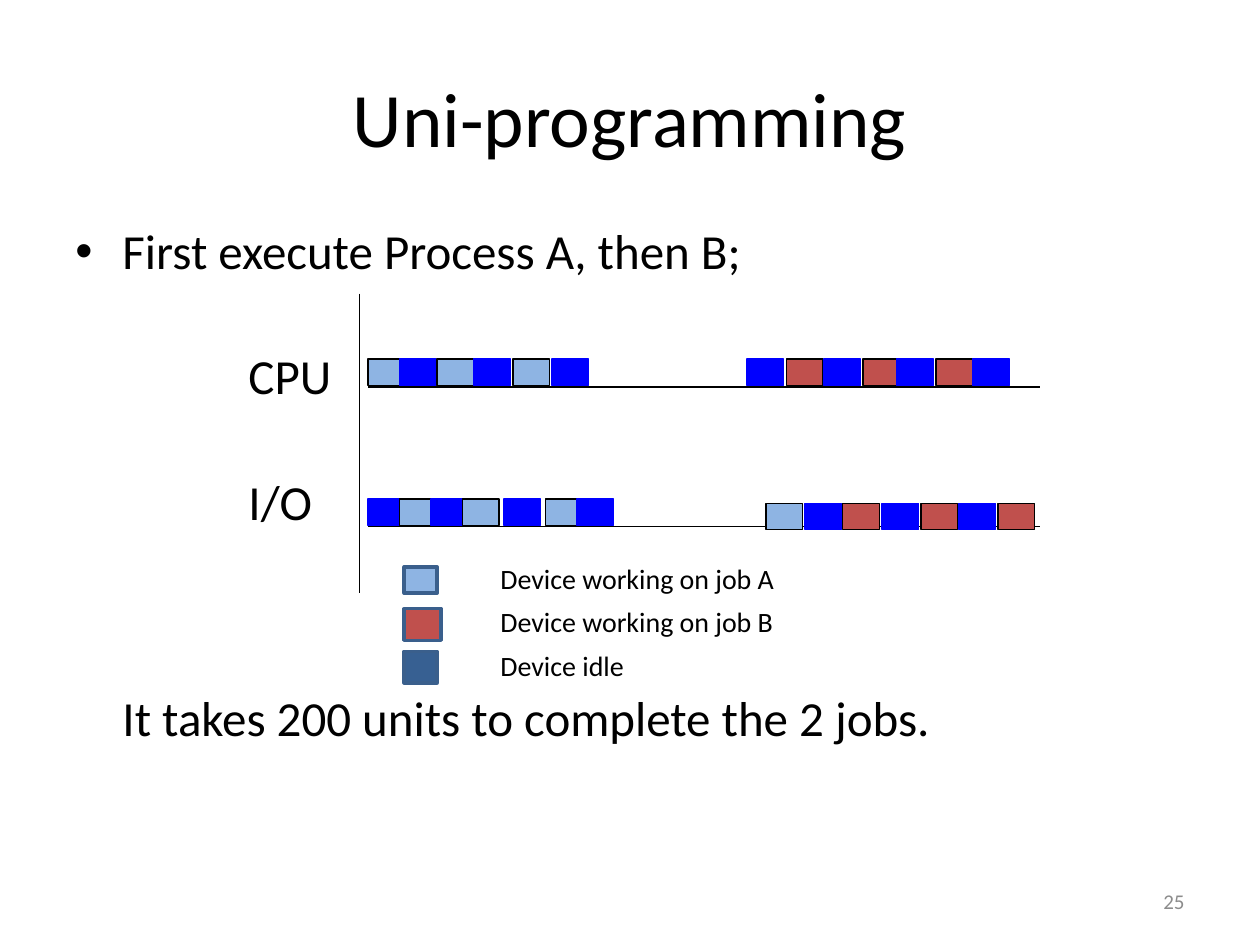
import dataclasses
import typing

import lxml.etree
import pptx
import pptx.dml.color
import pptx.enum.shapes
import pptx.enum.text
import pptx.oxml.ns
import pptx.util

Cm = pptx.util.Cm
Pt = pptx.util.Pt
Align = pptx.enum.text.PP_ALIGN
Anchor = pptx.enum.text.MSO_ANCHOR


@dataclasses.dataclass(frozen=True)
class Theme:
    font: str = "Calibri"
    bullet_font: str = "Arial"
    ink: str = "000000"
    muted: str = "8C8C8C"
    job_a: str = "8EB4E3"
    job_b: str = "C0504D"
    idle: str = "0000FF"
    idle_key: str = "376092"
    key_border: str = "3A5F8C"
    title_size: int = 44
    body_size: int = 28
    key_size: int = 16
    number_size: int = 12
    thin: float = 0.75
    thick: float = 2


THEME = Theme()


@dataclasses.dataclass(frozen=True)
class TextLine:
    text: str
    size: int
    margin: float
    before: float
    bullet: bool = False


@dataclasses.dataclass(frozen=True)
class Activity:
    top: float
    states: str
    lefts: tuple[float, ...]


@dataclasses.dataclass(frozen=True)
class LegendKey:
    top: float
    width: float
    height: float
    fill: str


STATE_COLOURS = {
    "A": (THEME.job_a, THEME.ink),
    "B": (THEME.job_b, THEME.ink),
    "I": (THEME.idle, THEME.idle),
}
BODY_LINES = (
    TextLine("First execute Process A, then B;", THEME.body_size, 0.95, 0, True),
    TextLine("CPU", THEME.body_size, 3.49, 41.5),
    TextLine("I/O", THEME.body_size, 3.49, 41.5),
    TextLine("Device working on job A", THEME.key_size, 8.57, 19.7),
    TextLine("Device working on job B", THEME.key_size, 8.57, 7.5),
    TextLine("Device idle", THEME.key_size, 8.57, 7.5),
    TextLine("It takes 200 units to complete the 2 jobs.", THEME.body_size, 0.95, 6.5),
)
ACTIVITIES = (
    Activity(10.06, "IAIAIAI", (7.42, 8.05, 8.69, 9.32, 10.16, 11, 11.63)),
    Activity(10.15, "AIBIBIB", (15.44, 16.23, 16.99, 17.78, 18.57, 19.33, 20.12)),
    Activity(7.24, "AIAIAI", (7.42, 8.05, 8.81, 9.55, 10.34, 11.13)),
    Activity(7.24, "IBIBIBI", (15.06, 15.85, 16.61, 17.4, 18.08, 18.87, 19.61)),
)
LEGEND = (
    LegendKey(11.43, 0.66, 0.53, THEME.job_a),
    LegendKey(12.27, 0.74, 0.64, THEME.job_b),
    LegendKey(13.13, 0.66, 0.64, THEME.idle_key),
)
AXES = (
    (7.42, 10.62, 20.96, 10.62),
    (7.42, 7.8, 20.96, 7.8),
    (7.24, 5.92, 7.24, 11.96),
)


def apply(target: typing.Any, values: dict[str, typing.Any]) -> None:
    for name, value in values.items():
        setattr(target, name, value)


def colour(value: str) -> pptx.dml.color.RGBColor:
    return pptx.dml.color.RGBColor.from_string(value)


def place(box: typing.Any, left: float, top: float, width: float, height: float) -> None:
    apply(box, {"left": Cm(left), "top": Cm(top), "width": Cm(width), "height": Cm(height)})


def write(para: typing.Any, text: str, size: int, ink: str, align: Align) -> None:
    span = para.add_run()
    span.text = text
    para.alignment = align
    apply(span.font, {"name": THEME.font, "size": Pt(size)})
    span.font.color.rgb = colour(ink)


def indent(para: typing.Any, line: TextLine) -> None:
    properties = para._p.get_or_add_pPr()
    properties.set("marL", str(Cm(line.margin)))
    properties.set("indent", str(-Cm(line.margin) if line.bullet else 0))
    if line.bullet:
        font = lxml.etree.SubElement(properties, pptx.oxml.ns.qn("a:buFont"))
        font.set("typeface", THEME.bullet_font)
        bullet = lxml.etree.SubElement(properties, pptx.oxml.ns.qn("a:buChar"))
        bullet.set("char", "•")


def add_body(page: typing.Any) -> None:
    frame = page.shapes.add_textbox(Cm(1.27), Cm(4.45), Cm(22.86), Cm(12.57)).text_frame
    frame.word_wrap = True
    for index, line in enumerate(BODY_LINES):
        para = frame.add_paragraph() if index else frame.paragraphs[0]
        apply(para, {"line_spacing": 0.9, "space_before": Pt(line.before)})
        indent(para, line)
        write(para, line.text, line.size, THEME.ink, Align.LEFT)


def add_block(page: typing.Any, left: float, top: float, width: float, height: float,
              fill: str, border: str, weight: float) -> None:
    block = page.shapes.add_shape(pptx.enum.shapes.MSO_SHAPE.RECTANGLE,
                                  Cm(left), Cm(top), Cm(width), Cm(height))
    block.shadow.inherit = False
    block.fill.solid()
    block.fill.fore_color.rgb = colour(fill)
    block.line.color.rgb = colour(border)
    block.line.width = Pt(weight)


def add_axis(page: typing.Any, ends: tuple[float, ...]) -> None:
    axis = page.shapes.add_connector(pptx.enum.shapes.MSO_CONNECTOR.STRAIGHT,
                                     *(Cm(end) for end in ends))
    axis.line.color.rgb = colour(THEME.ink)
    axis.line.width = Pt(THEME.thin)
    lxml.etree.SubElement(axis._element.spPr, pptx.oxml.ns.qn("a:effectLst"))


def main() -> None:
    deck = pptx.Presentation()
    apply(deck, {"slide_width": Cm(25.4), "slide_height": Cm(19.05)})
    page = deck.slides.add_slide(deck.slide_layouts[5])

    title = page.shapes.title
    place(title, 1.27, 0.76, 22.86, 3.18)
    title.text_frame.vertical_anchor = Anchor.MIDDLE
    write(title.text_frame.paragraphs[0], "Uni-programming",
          THEME.title_size, THEME.ink, Align.CENTER)

    number = page.shapes.add_textbox(Cm(18.2), Cm(17.66), Cm(5.93), Cm(1.01)).text_frame
    apply(number, {"word_wrap": True, "vertical_anchor": Anchor.MIDDLE})
    write(number.paragraphs[0], "25", THEME.number_size, THEME.muted, Align.RIGHT)

    add_body(page)
    for ends in AXES:
        add_axis(page, ends)
    for activity in ACTIVITIES:
        for state, left in zip(activity.states, activity.lefts):
            add_block(page, left, activity.top, 0.74, 0.53, *STATE_COLOURS[state], THEME.thin)
    for key in LEGEND:
        add_block(page, 8.15, key.top, key.width, key.height,
                  key.fill, THEME.key_border, THEME.thick)
    deck.save("out.pptx")


main()
